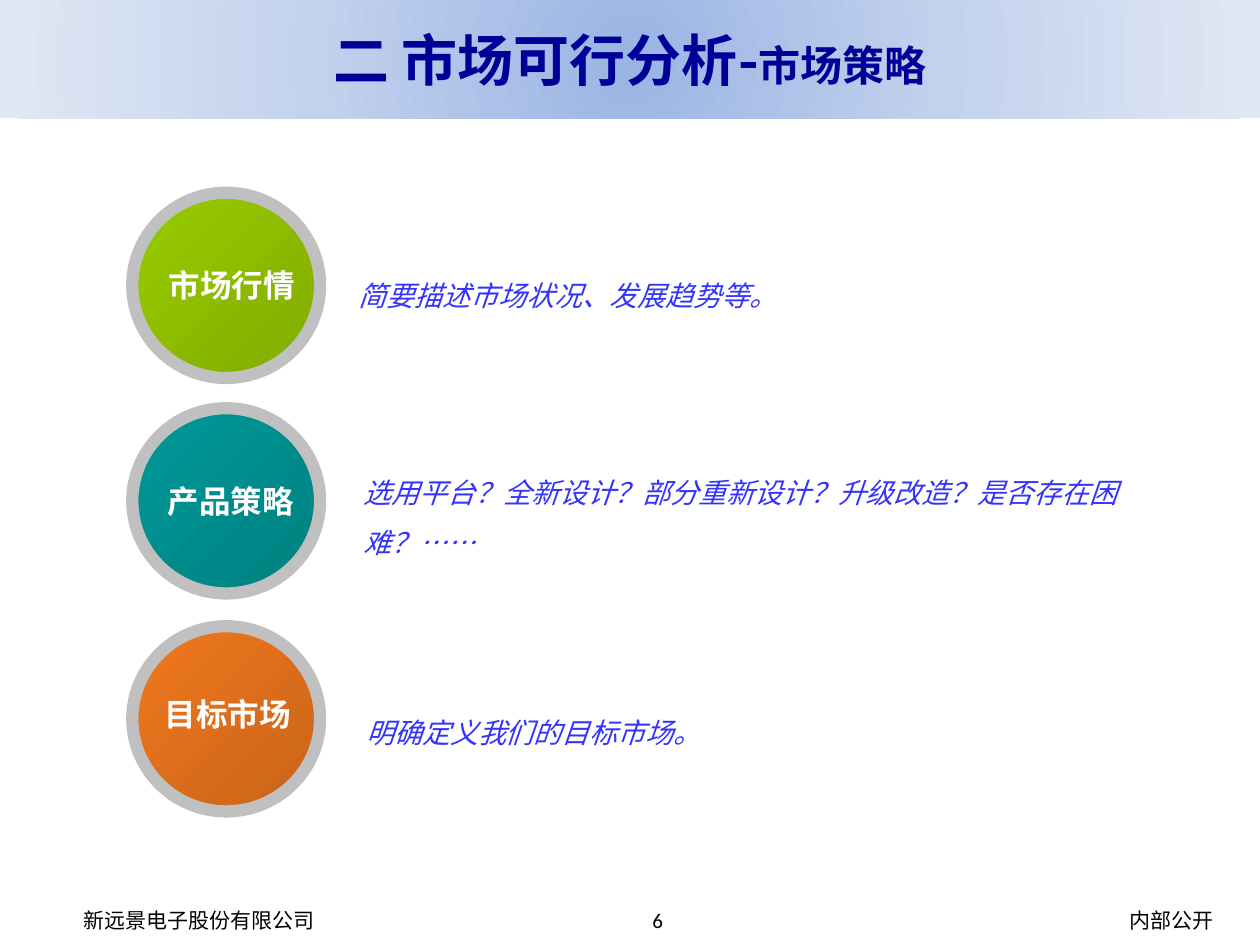
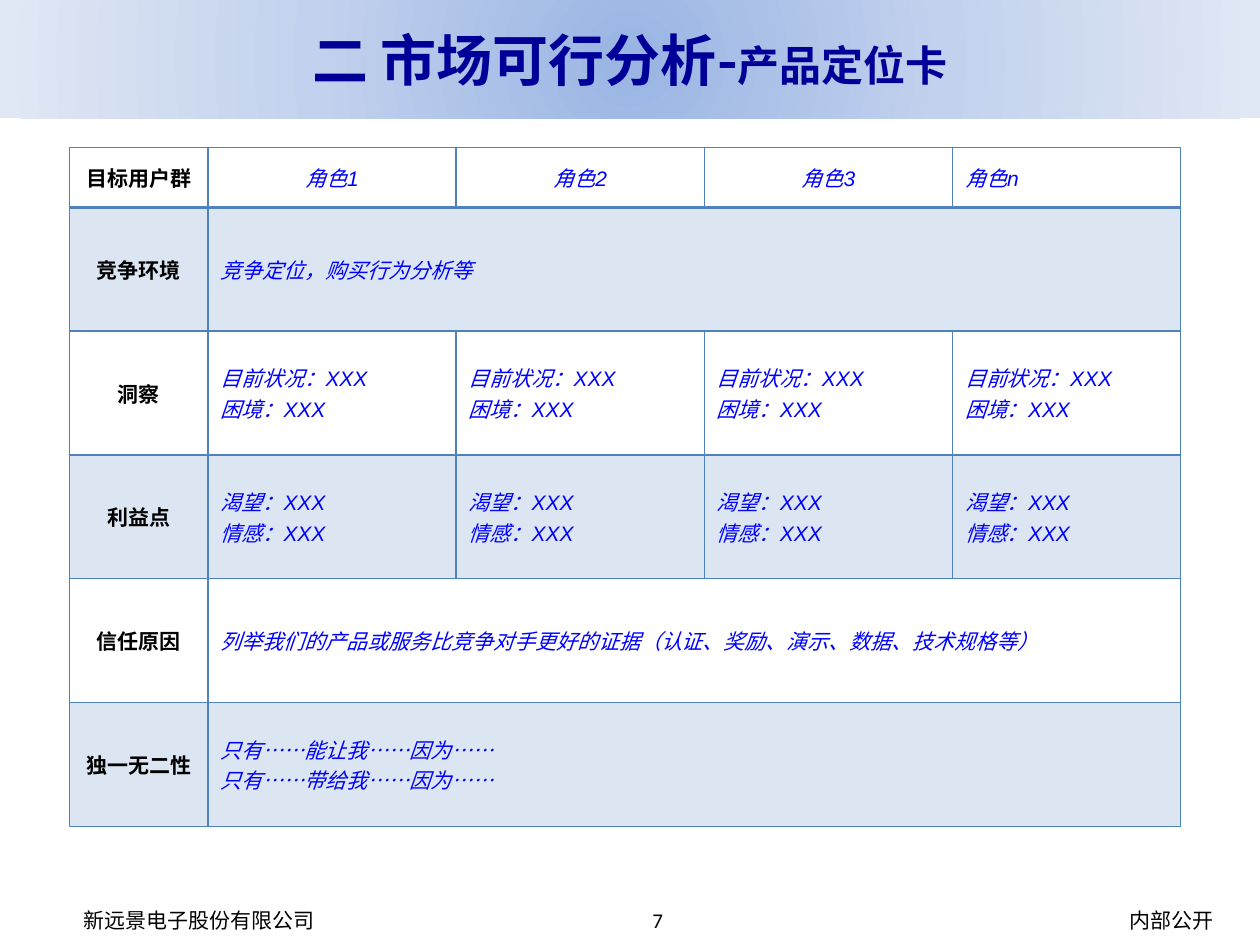
from lxml import etree
from pptx import Presentation
from pptx import util as u
from pptx.dml.color import RGBColor
from pptx.enum import shapes, text
from pptx.oxml import ns

COLS, ROWS = 100, 75  # slide grid
EAST_ASIAN = "Noto Sans CJK SC"
NAVY, PLUM, BLACK, WHITE = "000099", "5E457C", "000000", "FFFFFF"
SILVER, NOTE_BLUE, CELL_BLUE = "C0C0C0", "3333FF", "0000FF"
BORDER, BAND = "4F81BD", "DCE6F2"
BANNER = ("9AB5E4", "C2D1ED", "E1E8F5")
LEFT, CENTER, RIGHT = text.PP_ALIGN.LEFT, text.PP_ALIGN.CENTER, text.PP_ALIGN.RIGHT
MIDDLE, TOP = text.MSO_ANCHOR.MIDDLE, text.MSO_ANCHOR.TOP


def rgb(hex_color):
    return RGBColor.from_string(hex_color)


def node(parent, tag, **attrs):
    child = etree.SubElement(parent, ns.qn(tag))
    for name, value in attrs.items():
        child.set(name, str(value))
    return child


def line_node(tag, color, width):
    ln = etree.Element(ns.qn(tag), w=str(int(u.Pt(width))))
    node(node(ln, "a:solidFill"), "a:srgbClr", val=color)
    return ln


def add_run(p, words, size=12, font="Arial", color=BLACK, bold=False,
            italic=False, outline=None):
    r = p.add_run()
    r.text = words
    f = r.font
    f.size, f.name, f.bold, f.italic = u.Pt(size), font, bold, italic
    f.color.rgb = rgb(color)
    rPr = r._r.get_or_add_rPr()
    node(rPr, "a:ea", typeface=EAST_ASIAN)
    if outline:
        rPr.insert(0, line_node("a:ln", outline, 0.71))


def write(tf, words, align=LEFT, spacing=None, **fmt):
    """Fill a text frame, one paragraph for each line of words."""
    for i, line in enumerate(words.split("\n")):
        p = tf.add_paragraph() if i else tf.paragraphs[0]
        p.alignment = align
        if spacing:
            p.line_spacing = spacing
        add_run(p, line, **fmt)


def gradient(sp, colors, angle=None):
    """Linear gradient at an angle in degrees, or circular from the middle."""
    sp.fill.gradient()
    grad = sp._element.spPr.find(ns.qn("a:gradFill"))
    for child in list(grad):
        grad.remove(child)
    stops = node(grad, "a:gsLst")
    for i, color in enumerate(colors):
        stop = node(stops, "a:gs", pos=100000 * i // (len(colors) - 1))
        node(stop, "a:srgbClr", val=color)
    if angle is None:
        shade = node(grad, "a:path", path="circle")
        node(shade, "a:fillToRect", l=50000, t=50000, r=50000, b=50000)
    else:
        node(grad, "a:lin", ang=angle * 60000, scaled=0)


class Deck:
    def __init__(self):
        self.prs = Presentation()
        self.prs.slide_width, self.prs.slide_height = u.Inches(10), u.Inches(7.5)
        self.s = None

    def box(self, left, top, width, height):
        """Turn grid columns and rows into lengths."""
        col, row = self.prs.slide_width / COLS, self.prs.slide_height / ROWS
        return [int(n) for n in (left * col, top * row, width * col, height * row)]

    def slide(self, topic, number):
        self.s = self.prs.slides.add_slide(self.prs.slide_layouts[5])
        self.title(topic)
        # Footer
        for words, place, align in (("新远景电子股份有限公司", (2.7, 71, 26.2, 4), CENTER),
                                    ("内部公开", (85.9, 71, 14.1, 4), CENTER),
                                    (str(number), (49.2, 71, 4.4, 4), RIGHT)):
            self.text(words, place, anchor=MIDDLE, align=align, font="Calibri")

    def title(self, topic):
        sp = self.s.shapes.title
        sp.left, sp.top, sp.width, sp.height = self.box(0, 0, COLS, 9.4)
        gradient(sp, BANNER)
        tf = sp.text_frame
        tf.auto_size, tf.vertical_anchor = text.MSO_AUTO_SIZE.NONE, MIDDLE
        style = dict(font=EAST_ASIAN, color=NAVY, bold=True, outline=PLUM)
        write(tf, "二 市场可行分析-", align=CENTER, size=32, **style)
        add_run(tf.paragraphs[0], topic, size=24, **style)

    def text(self, words, place, anchor=TOP, **fmt):
        tf = self.s.shapes.add_textbox(*self.box(*place)).text_frame
        tf.word_wrap, tf.vertical_anchor = True, anchor
        write(tf, words, **fmt)

    def disc(self, place, colors):
        sp = self.s.shapes.add_shape(
            shapes.MSO_SHAPE.FLOWCHART_CONNECTOR, *self.box(*place))
        sp.shadow.inherit = False
        gradient(sp, colors, angle=45)
        sp.line.color.rgb, sp.line.width = rgb(SILVER), u.Pt(7)

    def table(self, left, top, widths, heights):
        place = self.box(left, top, sum(widths), sum(heights))
        tbl = self.s.shapes.add_table(len(heights), len(widths), *place).table
        tbl.first_row = tbl.horz_banding = False
        for column, width in zip(tbl.columns, widths):
            column.width = self.box(0, 0, width, 0)[2]
        for row, height in zip(tbl.rows, heights):
            row.height = self.box(0, 0, 0, height)[3]
        for i, row in enumerate(tbl.rows):
            for cell in row.cells:
                self.cell(cell, BAND if i % 2 else WHITE,
                          above=2 if i == 1 else 1, below=1 if i else 2)
        return tbl

    def cell(self, cell, color, above, below):
        cell.fill.solid()
        cell.fill.fore_color.rgb = rgb(color)
        cell.vertical_anchor = MIDDLE
        tcPr = cell._tc.get_or_add_tcPr()
        borders = (("L", 1), ("R", 1), ("T", above), ("B", below))
        for i, (side, width) in enumerate(borders):
            tcPr.insert(i, line_node("a:ln" + side, BORDER, width))


def market_strategy(deck):
    deck.slide("市场策略", 6)
    # Disc top and colours, label and place, note and place
    topics = (
        (15.3, ("99CC00", "80AB00"), "市场行情", (11.4, 20.6, 14, 4),
         "简要描述市场状况、发展趋势等。", (27.5, 20.3, 64.2, 5)),
        (32.4, ("009999", "008080"), "产品策略", (11.3, 37.8, 14, 4),
         "选用平台？全新设计？部分重新设计？升级改造？是否存在困\n难？……",
         (27.9, 35.9, 64.3, 8.5)),
        (49.7, ("F0781E", "C96419"), "目标市场", (11.1, 54.7, 14, 4),
         "明确定义我们的目标市场。", (28.1, 55, 64.8, 4.4)),
    )
    for top, colors, label, label_place, note, note_place in topics:
        deck.disc((10.5, top, 14.9, 14.7), colors)
        deck.text(label, label_place, align=CENTER, size=18, color=WHITE, bold=True)
        deck.text(note, note_place, spacing=1.5, size=16, color=NOTE_BLUE, italic=True)


def positioning_card(deck):
    deck.slide("产品定位卡", 7)
    roles = ("角色1", "角色2", "角色3", "角色n")
    # A row with one entry spans all roles
    rows = (
        ("目标用户群", roles),
        ("竞争环境", ("竞争定位，购买行为分析等",)),
        ("洞察", ("目前状况：XXX\n困境：XXX",) * len(roles)),
        ("利益点", ("渴望：XXX\n情感：XXX",) * len(roles)),
        ("信任原因", ("列举我们的产品或服务比竞争对手更好的证据"
                  "（认证、奖励、演示、数据、技术规格等）",)),
        ("独一无二性", ("只有……能让我……因为……\n只有……带给我……因为……",)),
    )
    tbl = deck.table(5.5, 11.7, [11, 19.7, 19.7, 19.7, 18.1],
                     [4.75] + [9.83] * (len(rows) - 1))
    for i, (heading, entries) in enumerate(rows):
        write(tbl.cell(i, 0).text_frame, heading, align=CENTER, bold=True)
        spans = len(entries) == 1
        if spans:
            tbl.cell(i, 1).merge(tbl.cell(i, len(roles)))
        for j, entry in enumerate(entries, 1):
            centered = i == 0 and j < len(roles)
            write(tbl.cell(i, j).text_frame, entry, color=CELL_BLUE, italic=True,
                  align=CENTER if centered else LEFT,
                  font="Calibri" if spans else "Arial")


def main():
    deck = Deck()
    market_strategy(deck)
    positioning_card(deck)
    deck.prs.save("out.pptx")


if __name__ == "__main__":
    main()
